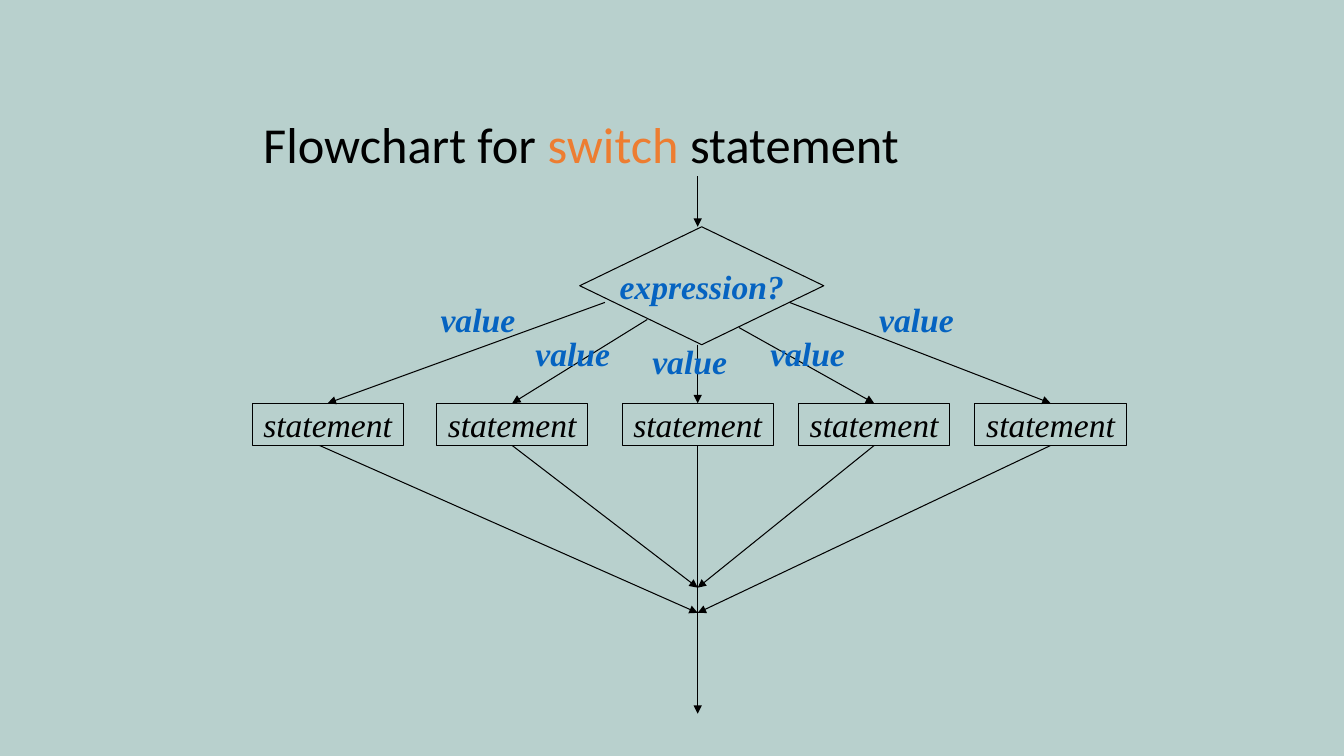
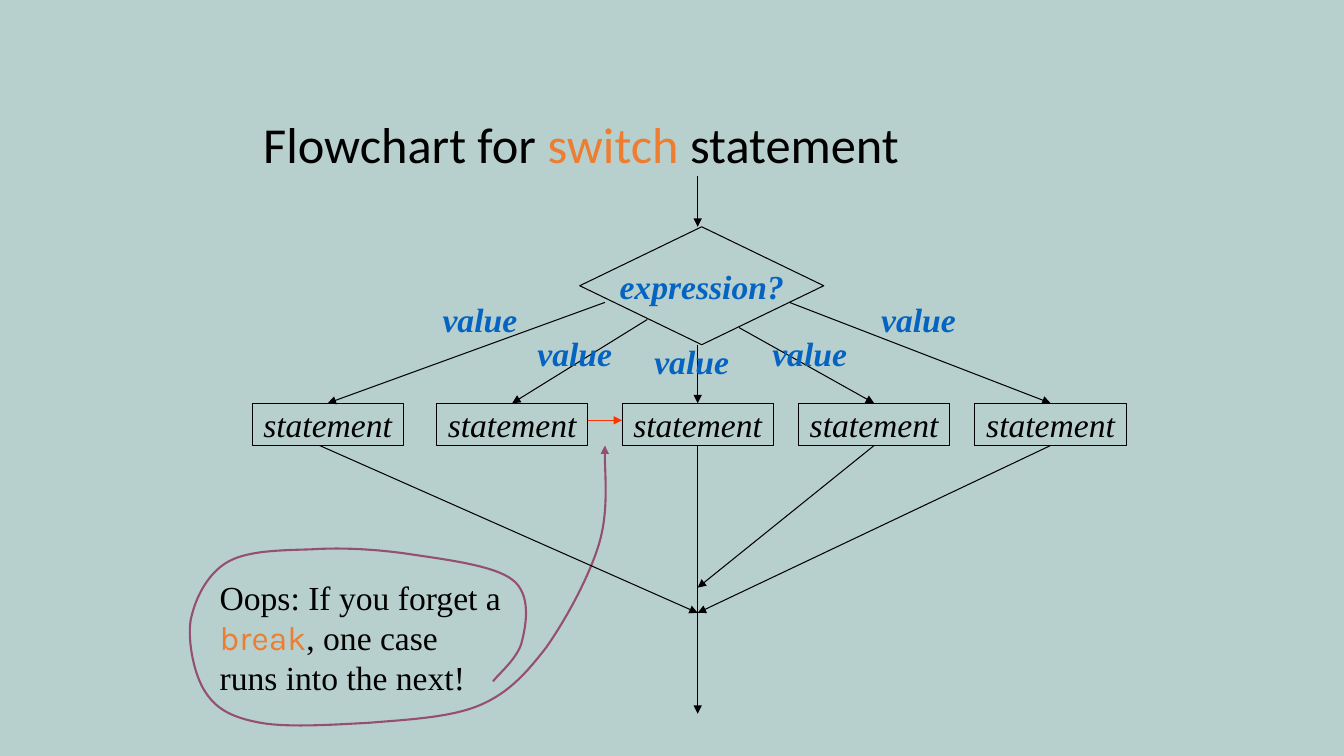
from lxml.etree import SubElement
from pptx import Presentation
from pptx.dml.color import RGBColor as RGB
from pptx.enum.shapes import MSO_CONNECTOR as LINK, MSO_SHAPE as SHAPE
from pptx.enum.text import MSO_ANCHOR as ANCHOR, MSO_AUTO_SIZE as AUTO, PP_ALIGN as ALIGN
from pptx.oxml.ns import qn
from pptx.util import Inches, Pt

COLORS = {"back": "B8D0CD", "ink": "000000", "code": "ED7D31", "value": "0563C1",
          "fall": "FF3300", "loop": "954F72"}
SERIF = {"name": "Times New Roman", "size": Pt(24)}
STEP = {**SERIF, "italic": True}
TEST = {**STEP, "bold": True}
HEAD = {"name": "Calibri", "size": Pt(36)}
CODE = {**SERIF, "name": "Karla"}

TOP, HIGH, WIDE = 4, 0.42, 1.5
MID = 6.92
# Each branch: box left, start of its arrow, place of its label, end of its exit
BRANCHES = [
    (2.5, (6, 3), (4.23, 2.92), 6.08),
    (4.33, (6.42, 3.17), (5.17, 3.25), 5.83),
    (6.17, (MID, 3.42), (6.33, 3.33), 7.08),
    (7.92, (7.33, 3.25), (7.5, 3.25), 5.83),
    (9.67, (7.83, 3), (8.58, 2.92), 6.08),
]
# Start of the loop, then three points for each curve
LOOP = [
    (4.89, 6.76),
    (4.94, 6.69), (5.15, 6.52), (5.18, 6.35),
    (5.22, 6.19), (5.27, 5.89), (5.08, 5.75),
    (4.9, 5.61), (4.41, 5.55), (4.08, 5.5),
    (3.75, 5.45), (3.4, 5.43), (3.09, 5.45),
    (2.79, 5.46), (2.45, 5.46), (2.25, 5.58),
    (2.05, 5.7), (1.93, 5.95), (1.89, 6.16),
    (1.86, 6.38), (1.93, 6.71), (2.04, 6.87),
    (2.15, 7.04), (2.31, 7.12), (2.58, 7.17),
    (2.85, 7.22), (3.31, 7.19), (3.67, 7.17),
    (4.03, 7.14), (4.46, 7.12), (4.75, 7),
    (5.04, 6.88), (5.22, 6.68), (5.42, 6.42),
    (5.61, 6.15), (5.84, 5.73), (5.94, 5.4),
    (6.04, 5.07), (5.99, 4.62), (6, 4.42),
]


def paint(color):
    return RGB.from_string(COLORS[color])


def write(para, text, style, color="ink"):
    run = para.add_run()
    run.text = text
    for key, value in style.items():
        setattr(run.font, key, value)
    run.font.color.rgb = paint(color)


def trace(item, color="ink", width=0.75):
    item.line.color.rgb = paint(color)
    item.line.width = Pt(width)


def point(item):
    """Put an arrowhead at the end of a line."""
    SubElement(item.line._get_or_add_ln(), qn("a:tailEnd"), type="triangle")


def add_title(slide, width):
    title = slide.shapes.title
    place = {"left": 2.51, "top": 0.64, "width": width, "height": 1.64}
    for key, value in place.items():
        setattr(title, key, Inches(value))
    title.text_frame.vertical_anchor = ANCHOR.MIDDLE
    para = title.text_frame.paragraphs[0]
    para.alignment = ALIGN.LEFT
    para.line_spacing = 0.9
    write(para, "Flowchart for ", HEAD)
    write(para, "switch", HEAD, "code")
    write(para, " statement", HEAD)


def add_node(shapes, kind, place, text, style, color="ink"):
    node = shapes.add_shape(kind, *map(Inches, place))
    node.shadow.inherit = False
    node.fill.background()
    trace(node)
    frame = node.text_frame
    frame.word_wrap = False
    frame.vertical_anchor = ANCHOR.MIDDLE
    para = frame.paragraphs[0]
    para.alignment = ALIGN.CENTER
    write(para, text, style, color)
    return node


def add_arrow(shapes, start, end, color="ink"):
    arrow = shapes.add_connector(LINK.STRAIGHT, *map(Inches, (*start, *end)))
    trace(arrow, color)
    point(arrow)
    SubElement(arrow.element.spPr, qn("a:effectLst"))
    return arrow


def add_text(shapes, place):
    """Add an empty text box and return its first paragraph."""
    frame = shapes.add_textbox(*map(Inches, place)).text_frame
    frame.word_wrap = True
    frame.auto_size = AUTO.SHAPE_TO_FIT_TEXT
    return frame.paragraphs[0]


def add_curve(shapes, points):
    """Draw a Bezier path: a start, then three points for each curve."""
    first, *rest = [(Inches(x), Inches(y)) for x, y in points]
    pen = shapes.build_freeform(*first)
    pen.add_line_segments(rest, close=False)
    curve = pen.convert_to_shape()
    path = curve.element.find(".//" + qn("a:path"))
    lines = path.findall(qn("a:lnTo"))
    for i in range(0, len(lines), 3):
        bend = SubElement(path, qn("a:cubicBezTo"))
        for line in lines[i:i + 3]:
            bend.append(line[0])
            path.remove(line)
    curve.shadow.inherit = False
    curve.fill.background()
    trace(curve, "loop", 1.5)
    point(curve)


def add_chart(slide, shift=0, broken=None):
    """Draw the flowchart; the broken branch falls through to the next one."""
    shapes = slide.shapes.add_group_shape().shapes
    add_arrow(shapes, (MID, 1.75), (MID, 2.25))
    add_node(shapes, SHAPE.FLOWCHART_DECISION, (5.75, 2.25, 2.42, 1.17),
             "expression?", TEST, "value")
    for i, (left, start, _, stop) in enumerate(BRANCHES):
        box = add_node(shapes, SHAPE.FLOWCHART_PROCESS, (left, TOP, WIDE, HIGH),
                       "statement", STEP)
        center = left + WIDE / 2
        add_arrow(shapes, start, (center, TOP)).end_connect(box, 0)
        if i == broken:
            add_arrow(shapes, (left + WIDE, 4.17), (BRANCHES[i + 1][0], 4.17), "fall")
        elif i == 0:
            add_arrow(shapes, (3.17, TOP + HIGH), (MID, stop))
        else:
            add_arrow(shapes, (center, TOP + HIGH), (MID, stop)).begin_connect(box, 2)
    for _, _, (x, y), _ in BRANCHES:
        para = add_text(shapes, (x + shift, y, 1.02, 0.5))
        para.alignment = ALIGN.CENTER
        write(para, "value", TEST, "value")


def add_note(slide):
    shapes = slide.shapes.add_group_shape().shapes
    para = add_text(shapes, (2.08, 5.67, 3, 1.31))
    write(para, "Oops: If you forget a ", SERIF)
    write(para, "break", CODE, "code")
    write(para, ", one case runs into the next!", SERIF)
    add_curve(shapes, LOOP)


def main():
    deck = Presentation()
    deck.slide_width, deck.slide_height = Inches(13.33), Inches(7.5)
    fill = deck.slide_master.background.fill
    fill.solid()
    fill.fore_color.rgb = paint("back")
    layout = deck.slide_layouts[5]

    slide = deck.slides.add_slide(layout)
    add_title(slide, 8.74)
    add_chart(slide)

    slide = deck.slides.add_slide(layout)
    add_title(slide, 9.08)
    add_note(slide)
    add_chart(slide, shift=0.02, broken=1)

    deck.save("out.pptx")


if __name__ == "__main__":
    main()
